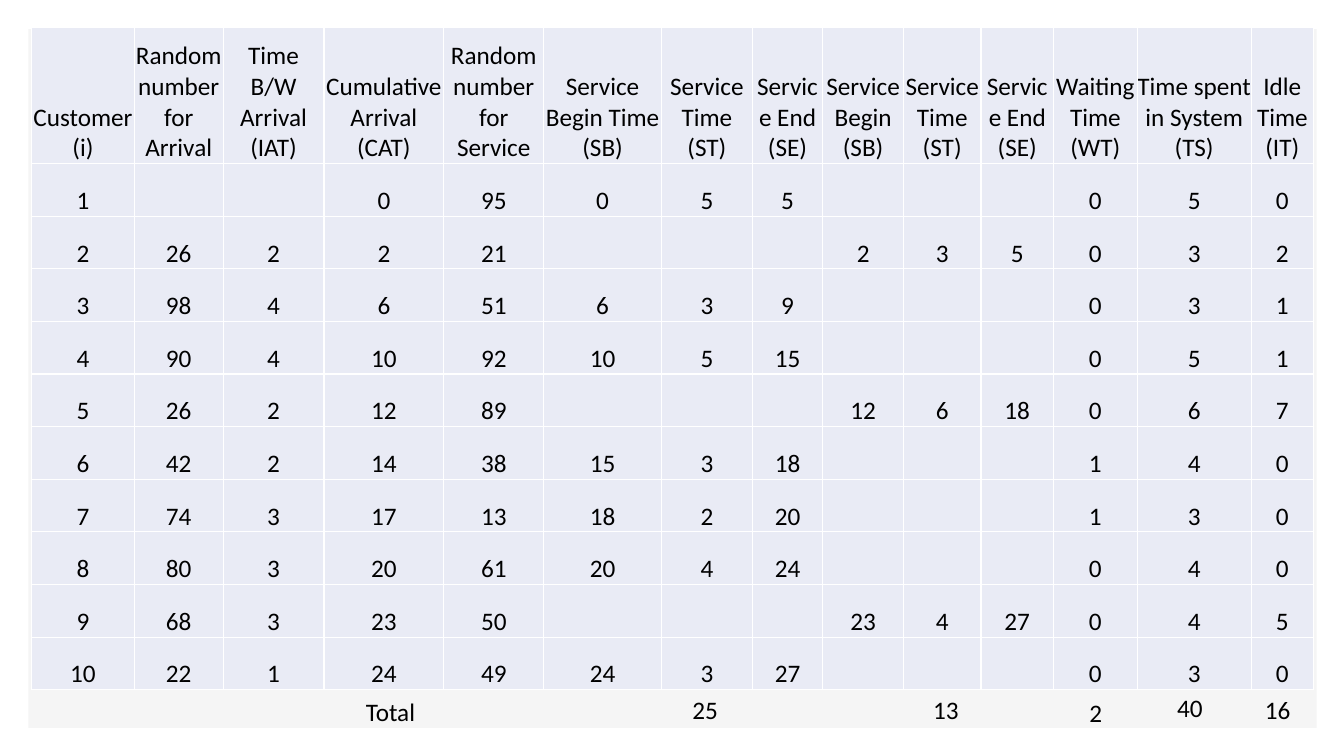
"""Build a slide with a two-server queue simulation table and its totals."""
from lxml import etree
from pptx import Presentation
from pptx import util as u
from pptx.dml.color import RGBColor
from pptx.enum import shapes, text
from pptx.oxml import ns

HEADERS = [
    "Customer\n(i)", "Random number for Arrival", "Time B/W Arrival (IAT)",
    "Cumulative Arrival (CAT)", "Random number for Service",
    "Service Begin Time (SB)", "Service Time (ST)", "Service End (SE)",
    "Service Begin (SB)", "Service Time (ST)", "Service End (SE)",
    "Waiting Time (WT)", "Time spent in System (TS)", "Idle Time (IT)",
]
CUSTOMERS = [
    "1,,,0,95,0,5,5,,,,0,5,0",
    "2,26,2,2,21,,,,2,3,5,0,3,2",
    "3,98,4,6,51,6,3,9,,,,0,3,1",
    "4,90,4,10,92,10,5,15,,,,0,5,1",
    "5,26,2,12,89,,,,12,6,18,0,6,7",
    "6,42,2,14,38,15,3,18,,,,1,4,0",
    "7,74,3,17,13,18,2,20,,,,1,3,0",
    "8,80,3,20,61,20,4,24,,,,0,4,0",
    "9,68,3,23,50,,,,23,4,27,0,4,5",
    "10,22,1,24,49,24,3,27,,,,0,3,0",
]
COL_WIDTHS = [73.4, 63.4, 72, 85.7, 71.3, 84.2, 64.8,
              50.4, 57.6, 55.4, 51.8, 59.8, 81.4, 44.6]
HEADER_HEIGHT, ROW_HEIGHT = 97.2, 37.6
TOTALS = [
    ("Total", 254.2, 492.5, 110),
    ("25", 487.4, 491, 110),
    ("13", 659.5, 491, 110),
    ("2", 771.1, 493.2, 38.2),
    ("40", 833.8, 489.6, 82),
    ("16", 896.4, 491, 63),
]


def rgb(color):
    return RGBColor.from_string(color)


def write(tf, content, align=text.PP_ALIGN.LEFT, spacing=None):
    for i, line in enumerate(content.split("\n")):
        p = tf.add_paragraph() if i else tf.paragraphs[0]
        p.alignment = align
        p.line_spacing = spacing
        r = p.add_run()
        r.text = line
        r.font.name = "Calibri"
        r.font.size = u.Pt(18)
        r.font.color.rgb = rgb("000000")


prs = Presentation()
prs.slide_width, prs.slide_height = u.Pt(960), u.Pt(540)
s = prs.slides.add_slide(prs.slide_layouts[6])

panel = s.shapes.add_shape(shapes.MSO_SHAPE.RECTANGLE,
                           u.Pt(20.2), u.Pt(20.9), u.Pt(920.2), u.Pt(499))
panel.shadow.inherit = False
panel.fill.solid()
panel.fill.fore_color.rgb = rgb("F5F5F5")
panel.line.fill.background()

rows = [HEADERS] + [row.split(",") for row in CUSTOMERS]
table_height = HEADER_HEIGHT + ROW_HEIGHT * len(CUSTOMERS)
tbl = s.shapes.add_table(len(rows), len(HEADERS), u.Pt(22.6), u.Pt(19.6),
                         u.Pt(sum(COL_WIDTHS)), u.Pt(table_height)).table
tbl.first_row = tbl.horz_banding = False
for col, width in zip(tbl.columns, COL_WIDTHS):
    col.width = u.Pt(width)
for i, values in enumerate(rows):
    tbl.rows[i].height = u.Pt(ROW_HEIGHT if i else HEADER_HEIGHT)
    for j, value in enumerate(values):
        cell = tbl.cell(i, j)
        cell.margin_left = cell.margin_right = 0
        cell.margin_top = cell.margin_bottom = 0
        cell.vertical_anchor = text.MSO_ANCHOR.BOTTOM
        tcPr = cell._tc.get_or_add_tcPr()
        for side in ("lnL", "lnR", "lnT", "lnB"):
            ln = etree.SubElement(tcPr, ns.qn(f"a:{side}"), w=str(u.Pt(1)))
            fill = etree.SubElement(ln, ns.qn("a:solidFill"))
            etree.SubElement(fill, ns.qn("a:srgbClr"), val="FFFFFF")
        cell.fill.solid()
        cell.fill.fore_color.rgb = rgb("E9EBF5")
        if value:
            write(cell.text_frame, value, text.PP_ALIGN.CENTER)

for label, left, top, width in TOTALS:
    tf = s.shapes.add_textbox(u.Pt(left), u.Pt(top),
                              u.Pt(width), u.Pt(29.5)).text_frame
    tf.word_wrap = True
    tf.auto_size = text.MSO_AUTO_SIZE.SHAPE_TO_FIT_TEXT
    write(tf, label, spacing=1.07)

prs.save("out.pptx")
